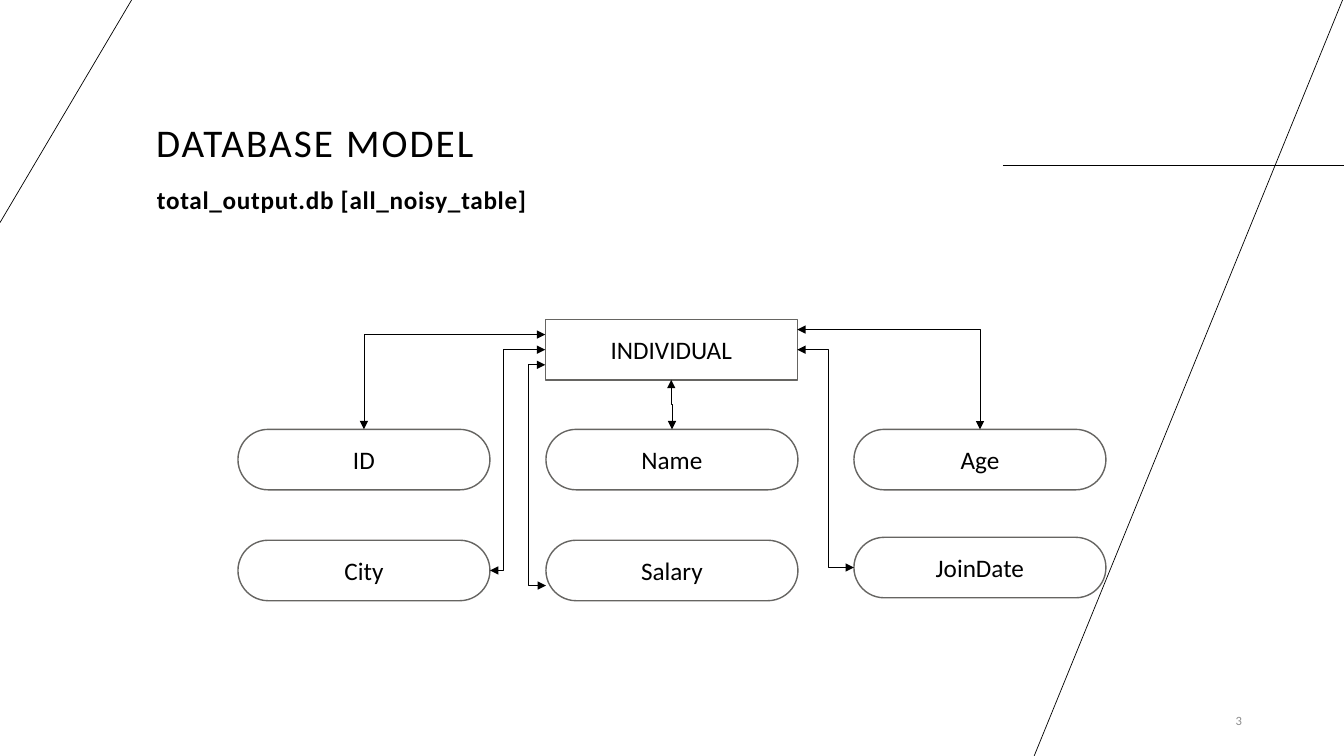
import pptx
import pptx.dml.color
import pptx.enum.shapes
import pptx.enum.text
import pptx.oxml.ns
import pptx.util
import lxml.etree

Pt = pptx.util.Pt
SHAPE = pptx.enum.shapes.MSO_SHAPE
CONNECTOR = pptx.enum.shapes.MSO_CONNECTOR
ANCHOR = pptx.enum.text.MSO_ANCHOR
ALIGN = pptx.enum.text.PP_ALIGN
qn = pptx.oxml.ns.qn


class SlideBuilder:
    font = "Calibri"
    colors = {"ink": "000000", "paper": "FFFFFF", "border": "666562", "muted": "8C8C8C"}

    def __init__(self, slide):
        self.s = slide

    def color(self, name):
        return pptx.dml.color.RGBColor.from_string(self.colors[name])

    def set_text(self, tf, text, size, color="ink", bold=False, align=ALIGN.LEFT,
                 anchor=ANCHOR.TOP, tracking=0):
        tf.word_wrap = True
        tf.vertical_anchor = anchor
        p = tf.paragraphs[0]
        p.alignment = align
        p.font.name = self.font
        p.font.size = Pt(size)
        p.font.bold = bold
        p.font.color.rgb = self.color(color)
        r = p.add_run()
        r.text = text
        if tracking:
            r._r.get_or_add_rPr().set("spc", str(round(tracking * 100)))
        return p

    def text(self, x, y, w, h, text, size, **style):
        sp = self.s.shapes.add_textbox(Pt(x), Pt(y), Pt(w), Pt(h))
        return self.set_text(sp.text_frame, text, size, **style)

    def box(self, kind, x, y, w, h, text):
        sp = self.s.shapes.add_shape(kind, Pt(x), Pt(y), Pt(w), Pt(h))
        if kind == SHAPE.ROUNDED_RECTANGLE:
            sp.adjustments[0] = 0.5
        sp.shadow.inherit = False
        sp.fill.solid()
        sp.fill.fore_color.rgb = self.color("paper")
        sp.line.color.rgb = self.color("border")
        sp.line.width = Pt(1)
        self.set_text(sp.text_frame, text, 18, align=ALIGN.CENTER, anchor=ANCHOR.MIDDLE)

    def line(self, start, end, kind=CONNECTOR.STRAIGHT):
        cxn = self.s.shapes.add_connector(kind, *map(Pt, start + end))
        cxn.line.color.rgb = self.color("ink")
        cxn.line.width = Pt(0.5)
        lxml.etree.SubElement(cxn._element.spPr, qn("a:effectLst"))
        return cxn

    def elbow(self, start, end, bend=None):
        cxn = self.line(start, end, CONNECTOR.ELBOW)
        ln = cxn._element.spPr.find(qn("a:ln"))
        for tag in ("a:headEnd", "a:tailEnd"):
            lxml.etree.SubElement(ln, qn(tag), type="triangle")
        geom = cxn._element.spPr.find(qn("a:prstGeom"))
        if bend is None:
            geom.set("prst", "bentConnector2")
        else:
            guides = geom.find(qn("a:avLst"))
            if guides is None:
                guides = lxml.etree.SubElement(geom, qn("a:avLst"))
            lxml.etree.SubElement(guides, qn("a:gd"), name="adj1",
                                  fmla=f"val {round(bend * 100000)}")
        return cxn

    def upright_elbow(self, start, end):
        cx, cy = (start[0] + end[0]) / 2, (start[1] + end[1]) / 2
        dx, dy = (start[0] - end[0]) / 2, (start[1] - end[1]) / 2
        cxn = self.elbow((cx - dy, cy + dx), (cx + dy, cy - dx), 0.5)
        cxn._element.spPr.find(qn("a:xfrm")).set("rot", str(270 * 60000))


def main():
    prs = pptx.Presentation()
    prs.slide_width, prs.slide_height = Pt(960), Pt(540)
    b = SlideBuilder(prs.slides.add_slide(prs.slide_layouts[6]))

    b.line((716.4, 118), (960, 118))
    b.line((959, 0), (738.7, 540))
    b.line((0, 159), (94, 0))

    title = b.text(104.4, 79.2, 288, 43.2, "DATABASE MODEL", 28,
                   anchor=ANCHOR.BOTTOM, tracking=1.5)
    title.line_spacing = 0.9
    table_name = b.text(105, 128.2, 574, 268.6, "total_output.db [all_noisy_table]", 18,
                        bold=True, tracking=0.5)
    table_name.space_before = Pt(10)
    b.text(816.5, 500.4, 77.8, 28.8, "3", 9, color="muted", align=ALIGN.RIGHT,
           anchor=ANCHOR.MIDDLE)

    w, h = 180, 43.2
    left, top = 389.5, 228.2
    right, middle = left + w, top + h / 2
    columns = [170 + 220 * i for i in range(3)]
    upper, lower, join_top = 306.7, 385.9, 383.8

    b.box(SHAPE.RECTANGLE, left, top, w, h, "INDIVIDUAL")
    fields = [("ID", 0, upper), ("Name", 1, upper), ("Age", 2, upper),
              ("City", 0, lower), ("Salary", 1, lower), ("JoinDate", 2, join_top)]
    for name, column, y in fields:
        b.box(SHAPE.ROUNDED_RECTANGLE, columns[column], y, w, h, name)

    port = h / 4
    b.elbow((left, middle - port), (columns[0] + w / 2, upper))
    b.elbow((columns[0] + w, lower + h / 2), (left, middle), 0.24)
    b.upright_elbow((columns[1] + w / 2, upper), (left + w / 2, top + h))
    b.elbow((columns[1], lower + h * 0.75), (left, middle + port), 24)
    b.elbow((columns[2], join_top + h / 2), (right, middle), 0.46)
    b.elbow((right, top + h / 6), (columns[2] + w / 2, upper))

    prs.save("out.pptx")


if __name__ == "__main__":
    main()
